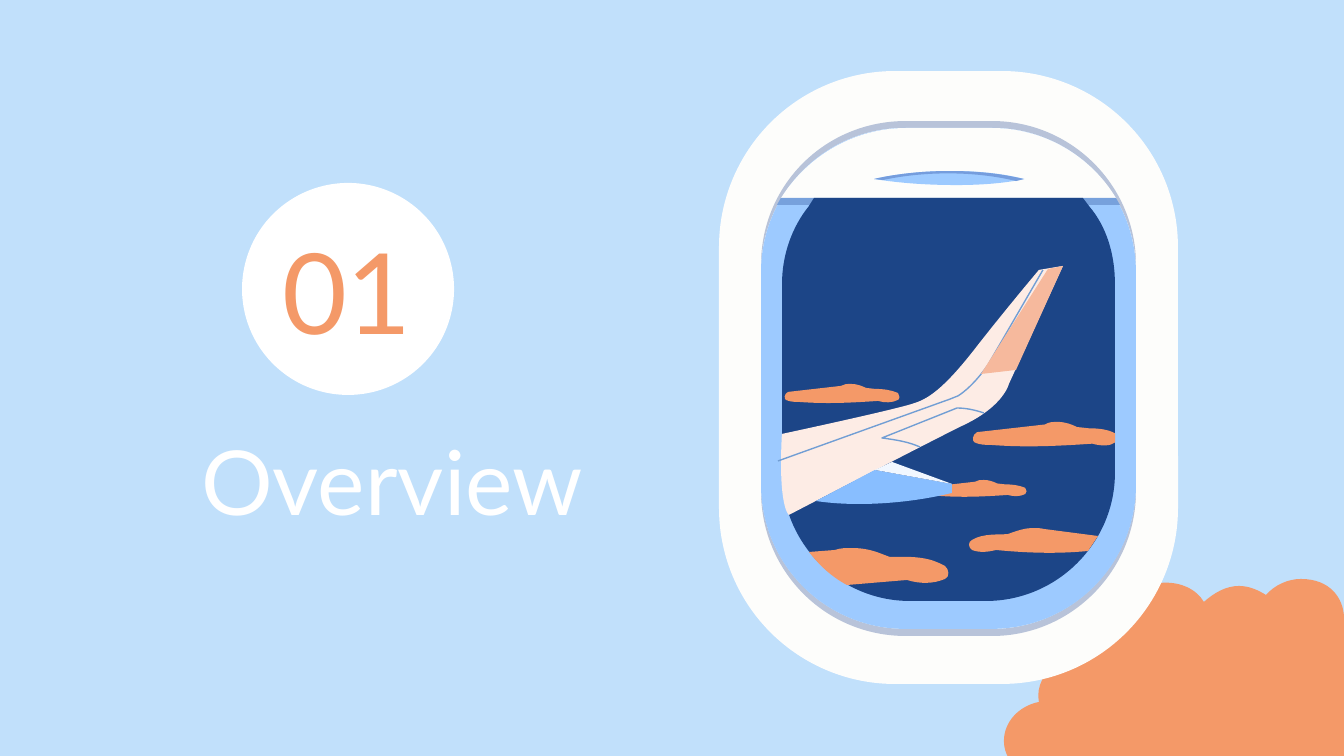
from pptx import Presentation
from pptx import util as u
from pptx.dml.color import RGBColor
from pptx.enum import shapes, text
from pptx.oxml.ns import qn

PX = 914400 / 134.4  # EMU in one px

SKY = RGBColor(0xC1, 0xE0, 0xFB)
ORANGE = RGBColor(0xF4, 0x99, 0x68)
WHITE = RGBColor(0xFF, 0xFF, 0xFF)
FRAME = RGBColor(0xFD, 0xFD, 0xFB)
RIM = RGBColor(0xB8, 0xC3, 0xD9)
PANE = RGBColor(0x9D, 0xCA, 0xFF)
NIGHT = RGBColor(0x1C, 0x45, 0x87)
SHADOW = RGBColor(0x77, 0xA1, 0xDC)
HANDLE_EDGE = RGBColor(0x75, 0x9D, 0xDD)
WING = RGBColor(0xFD, 0xEC, 0xE5)
WING_LINE = RGBColor(0x71, 0x9E, 0xD4)
WING_TIP = RGBColor(0xF6, 0xB9, 0x9D)
FAIRING = RGBColor(0x88, 0xBE, 0xFF)
FAIRING_TOP = RGBColor(0xF1, 0xF7, 0xFF)

# Outlines: (x, y) is a straight step, six numbers are a Bezier step
CORNER_CLOUD = [
    (1301, 579), (1288, 579, 1275, 585, 1266, 595),
    (1258, 590, 1249, 586, 1239, 586), (1226, 586, 1214, 593, 1204, 602),
    (1197, 590, 1181, 581, 1160, 583),
    (1141, 586, 1128, 599, 1125, 616), (1117, 609, 1106, 606, 1097, 606),
    (1087, 606, 1078, 609, 1070, 614), (1054, 626, 1050, 646, 1059, 663),
    (1044, 671, 1036, 687, 1039, 702), (1019, 706, 1004, 722, 1004, 741),
    (1004, 758, 1017, 774, 1039, 778), (1344, 778), (1344, 616),
    (1343, 599, 1331, 579, 1301, 579)]
RIM_TOP = [
    (906, 121), (825, 121, 761, 185, 761, 265), (761, 271),
    (761, 195, 823, 130, 900, 128), (997, 128),
    (1074, 130, 1136, 195, 1136, 271), (1136, 265),
    (1136, 185, 1071, 121, 992, 121)]
RIM_BOTTOM = [
    (761, 477), (761, 491), (761, 571, 825, 636, 906, 636), (992, 636),
    (1071, 636, 1136, 571, 1136, 491), (1136, 484),
    (1136, 564, 1071, 629, 992, 629), (906, 629),
    (825, 629, 761, 564, 761, 484)]
GLASS = [
    (809, 206), (792, 227, 782, 255, 782, 284), (782, 473),
    (782, 543, 839, 601, 910, 601), (986, 601),
    (1057, 601, 1115, 543, 1115, 473), (1115, 284),
    (1115, 255, 1107, 227, 1089, 206)]
SHADE = [
    (906, 128), (855, 128, 808, 155, 781, 198), (1116, 198),
    (1090, 155, 1043, 128, 992, 128)]
HANDLE = [
    (949, 171), (905, 171, 874, 179, 874, 179),
    (906, 184, 934, 185, 957, 185), (1001, 185, 1024, 179, 1024, 179),
    (997, 172, 970, 171, 949, 171)]
HANDLE_RIM = [
    (949, 171), (905, 171, 874, 179, 874, 179), (883, 180),
    (925, 171, 975, 171, 1016, 181),
    (1024, 179), (998, 173, 974, 171, 949, 171)]
SHADE_SHADOW = [(781, 198), (777, 205), (1120, 205), (1116, 198)]
GLASS_TOP = [(814, 198), (1083, 198), (1089, 206), (809, 206)]
SMALL_CLOUD = [
    (67, 0), (63, 0, 60, 0, 57, 2), (4, 8),
    (0, 10, 0, 15, 2, 16), (6, 18, 11, 18, 15, 18),
    (41, 20, 65, 19, 94, 17), (101, 19, 108, 19, 114, 16),
    (116, 15, 116, 11, 114, 9), (107, 6, 99, 5, 91, 5),
    (82, 4), (78, 2, 73, 0, 67, 0)]
LEFT_CLOUD = [
    (852, 548), (846, 548, 840, 548, 835, 550), (809, 552),
    (820, 566, 832, 577, 847, 585), (907, 580),
    (920, 584, 933, 584, 945, 579), (950, 577, 949, 569, 945, 566),
    (931, 558, 917, 556, 890, 557), (882, 554),
    (872, 550, 863, 548, 852, 548)]
RIGHT_CLOUD = [
    (1033, 528), (1026, 528, 1019, 530, 1008, 534),
    (1000, 535, 983, 533, 972, 540), (968, 542, 968, 547, 972, 550),
    (980, 553, 988, 552, 996, 550), (1027, 553, 1057, 554, 1088, 551),
    (1098, 536), (1044, 529), (1040, 528, 1037, 528, 1033, 528)]
WING_BODY = [
    (1063, 266), (1039, 270), (1039, 270, 1007, 308, 978, 345),
    (948, 384, 931, 398, 915, 403), (899, 409, 782, 434, 782, 434),
    (778, 508, 789, 515, 789, 515), (789, 515, 939, 437, 964, 425),
    (1004, 406, 1009, 384, 1009, 384)]
WING_SEAM = [
    (778, 461), (945, 401), (951, 399, 955, 397, 958, 396),
    (974, 386, 988, 365, 988, 365), (1043, 270)]
TIP = [(1063, 266), (1048, 269), (981, 374), (1016, 370)]
FLAP = [
    (920, 447), (909, 442, 897, 440, 882, 438), (957, 408),
    (966, 408, 975, 410, 984, 413)]
FAIRING_BODY = [
    (875, 470), (816, 501), (816, 501, 833, 504, 859, 504),
    (886, 504, 919, 501, 952, 493), (952, 484)]
FAIRING_WEDGE = [(892, 462), (875, 470), (952, 484)]


def px(n):
    return u.Emu(round(n * PX))


def add_outline(parent, outline, fill=None, line=None):
    """A filled closed outline, or an open stroke when only line is given."""
    points = [(px(step[i]), px(step[i + 1]))
              for step in outline for i in range(0, len(step), 2)]
    builder = parent.build_freeform(*points[0], scale=1.0)
    builder.add_line_segments(points[1:], close=fill is not None)
    sp = builder.convert_to_shape()
    # Join the three points of each Bezier step into one curve
    segments = iter(list(sp.element.iter(qn("a:lnTo"))))
    for step in outline[1:]:
        segment = next(segments)
        if len(step) == 6:
            segment.tag = qn("a:cubicBezTo")
            for extra in (next(segments), next(segments)):
                segment.append(extra[0])
                extra.getparent().remove(extra)
    paint(sp, fill, line)


def add_cloud(parent, left, top, scale):
    """A small cloud, cut at the right edge of the glass."""
    outline = [[top + n * scale if i % 2 else min(left + n * scale, 1115)
                for i, n in enumerate(step)] for step in SMALL_CLOUD]
    add_outline(parent, outline, ORANGE)


def add_preset(parent, kind, box, fill, radius=None):
    sp = parent.add_shape(kind, *map(px, box))
    if radius:
        sp.adjustments[0] = radius / min(box[2:])
    paint(sp, fill)


def paint(sp, fill, line=None):
    sp.shadow.inherit = False
    if fill is None:
        sp.fill.background()
    else:
        sp.fill.solid()
        sp.fill.fore_color.rgb = fill
    if line is None:
        sp.line.fill.background()
    else:
        sp.line.color.rgb = line
        sp.line.width = u.Pt(0.75)


def set_text(sp, words, box, size, color, align, anchor):
    sp.left, sp.top, sp.width, sp.height = map(px, box)
    tf = sp.text_frame
    tf.word_wrap = True
    tf.auto_size = text.MSO_AUTO_SIZE.NONE
    tf.vertical_anchor = anchor
    tf.margin_left = tf.margin_right = u.Inches(0.1)
    tf.margin_top = tf.margin_bottom = u.Inches(0.1)
    p = tf.paragraphs[0]
    p.alignment = align
    p.space_before = u.Pt(0)
    r = p.add_run()
    r.text = words
    r.font.name, r.font.size, r.font.color.rgb = "Lato", u.Pt(size), color


def add_window(parent):
    # Frame, rim and pane
    rounded = shapes.MSO_SHAPE.ROUNDED_RECTANGLE
    add_preset(parent, rounded, (719, 71, 459, 613), FRAME, radius=176)
    add_outline(parent, RIM_TOP, RIM)
    add_outline(parent, RIM_BOTTOM, RIM)
    add_preset(parent, rounded, (761, 128, 375, 501), PANE, radius=144)
    # Night sky, pulled-down shade and its handle
    for outline, fill in ((GLASS, NIGHT), (SHADE, FRAME), (HANDLE, PANE),
                          (SHADE_SHADOW, SHADOW), (GLASS_TOP, NIGHT),
                          (HANDLE_RIM, HANDLE_EDGE)):
        add_outline(parent, outline, fill)
    # Clouds behind the wing
    add_cloud(parent, 784, 384, 1)
    add_cloud(parent, 925, 480, 0.88)
    # Wing
    add_outline(parent, WING_BODY, WING)
    add_outline(parent, WING_SEAM, line=WING_LINE)
    add_outline(parent, TIP, WING_TIP)
    add_outline(parent, FLAP, line=WING_LINE)
    add_outline(parent, FAIRING_BODY, FAIRING)
    add_outline(parent, FAIRING_WEDGE, FAIRING_TOP)
    # Clouds cut by the glass
    add_cloud(parent, 972, 422, 1.28)
    add_outline(parent, LEFT_CLOUD, ORANGE)
    add_outline(parent, RIGHT_CLOUD, ORANGE)


def main():
    prs = Presentation()
    prs.slide_width, prs.slide_height = px(1344), px(756)
    s = prs.slides.add_slide(prs.slide_layouts[0])
    s.background.fill.solid()
    s.background.fill.fore_color.rgb = SKY
    title, number = s.placeholders

    # Scenery
    add_outline(s.shapes, CORNER_CLOUD, ORANGE)
    add_window(s.shapes.add_group_shape().shapes)

    # Section title, and its number on a white disc
    set_text(title, "Overview", (188, 423, 437, 124), 48, WHITE,
             text.PP_ALIGN.LEFT, text.MSO_ANCHOR.BOTTOM)
    add_preset(s.shapes, shapes.MSO_SHAPE.OVAL, (242, 183, 212, 212), WHITE)
    set_text(number, "01", (267, 247, 160, 85), 60, ORANGE,
             text.PP_ALIGN.CENTER, text.MSO_ANCHOR.MIDDLE)
    number.element.getparent().append(number.element)  # bring to front

    prs.save("out.pptx")


if __name__ == "__main__":
    main()
